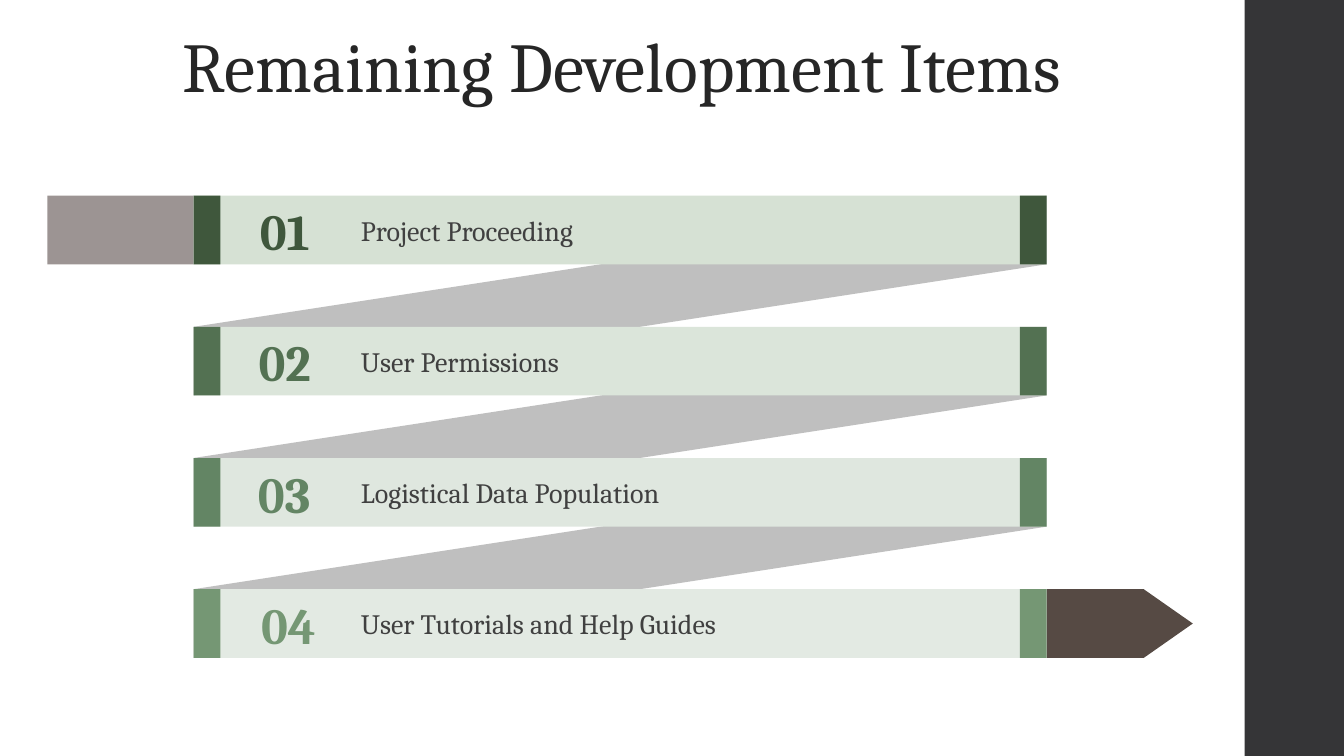
from dataclasses import dataclass

from pptx import Presentation
from pptx import util as u
from pptx.dml.color import RGBColor
from pptx.enum import shapes, text

Pt = u.Pt


@dataclass(frozen=True)
class Theme:
    font: str = "Cambria"
    title_size: int = 50
    number_size: int = 36
    label_size: int = 20
    title: str = "262626"
    label: str = "404040"
    side_band: str = "353537"
    ribbon: str = "BFBFBF"
    tail: str = "9C9493"
    arrow: str = "564A44"


@dataclass(frozen=True)
class Item:
    label: str
    accent: str
    tint: str
    number_left: float


THEME = Theme()
ITEMS = [
    Item("Project Proceeding", "3F573C", "D6E1D4", 175.5),
    Item("User Permissions", "537152", "DBE5DA", 175.5),
    Item("Logistical Data Population", "638564", "DFE7DF", 175),
    Item("User Tutorials and Help Guides", "759774", "E3EAE3", 178),
]

BAR_LEFT, BAR_RIGHT = 138.3, 747.7
BAR_TOP, BAR_HEIGHT, PITCH = 139.8, 49, 93.7
CAP_WIDTH = 19.2
TIP_LENGTH = 35


def row_top(index):
    return BAR_TOP + index * PITCH


def paint(shape, color):
    shape.fill.solid()
    shape.fill.fore_color.rgb = RGBColor.from_string(color)
    shape.line.fill.background()
    shape.shadow.inherit = False


def add_block(page, left, top, width, height, color,
              kind=shapes.MSO_SHAPE.RECTANGLE):
    block = page.shapes.add_shape(kind, Pt(left), Pt(top), Pt(width), Pt(height))
    paint(block, color)
    return block


def add_ribbon(page, upper, lower):
    outline = page.shapes.build_freeform(Pt(BAR_LEFT), Pt(lower))
    outline.add_line_segments([
        (Pt(BAR_RIGHT), Pt(upper)),
        (Pt(BAR_RIGHT), Pt(upper + BAR_HEIGHT)),
        (Pt(BAR_LEFT), Pt(lower + BAR_HEIGHT)),
    ], close=True)
    paint(outline.convert_to_shape(), THEME.ribbon)


def add_text(page, left, top, width, height, words, size, color,
             align=text.PP_ALIGN.LEFT, bold=False):
    box = page.shapes.add_textbox(Pt(left), Pt(top), Pt(width), Pt(height))
    frame = box.text_frame
    frame.word_wrap = True
    para = frame.paragraphs[0]
    para.text = words
    para.alignment = align
    para.font.name = THEME.font
    para.font.size = Pt(size)
    para.font.bold = bold
    para.font.color.rgb = RGBColor.from_string(color)
    return frame


def add_title(page, words):
    frame = add_text(page, 0, 23.8, 889, 56.9, words, THEME.title_size,
                     THEME.title, text.PP_ALIGN.CENTER)
    frame.vertical_anchor = text.MSO_ANCHOR.MIDDLE
    frame.paragraphs[0].line_spacing = 0.75


def add_item(page, index, item):
    top = row_top(index)
    add_block(page, BAR_LEFT, top, BAR_RIGHT - BAR_LEFT, BAR_HEIGHT, item.tint)
    for cap_left in (BAR_LEFT, BAR_RIGHT - CAP_WIDTH):
        add_block(page, cap_left, top, CAP_WIDTH, BAR_HEIGHT, item.accent)
    add_text(page, item.number_left, top - 0.3, 56, 51, f"{index + 1:02}",
             THEME.number_size, item.accent, text.PP_ALIGN.CENTER, bold=True)
    add_text(page, 250.7, top + 8.8, 435.6, 31.5, item.label,
             THEME.label_size, THEME.label)


def add_arrow(page, top):
    shaft = 69.3
    add_block(page, BAR_RIGHT, top, shaft, BAR_HEIGHT, THEME.arrow)
    inset = (BAR_HEIGHT - TIP_LENGTH) / 2
    tip = add_block(page, BAR_RIGHT + shaft - inset, top + inset, BAR_HEIGHT,
                    TIP_LENGTH, THEME.arrow,
                    shapes.MSO_SHAPE.ISOSCELES_TRIANGLE)
    tip.rotation = 90


def main():
    deck = Presentation()
    deck.slide_width, deck.slide_height = Pt(960), Pt(540)
    page = deck.slides.add_slide(deck.slide_layouts[6])
    add_block(page, 889, 0, 71, 540, THEME.side_band)
    add_title(page, "Remaining Development Items")
    for index in range(len(ITEMS) - 1):
        add_ribbon(page, row_top(index), row_top(index + 1))
    add_block(page, 33.8, BAR_TOP, BAR_LEFT - 33.8, BAR_HEIGHT, THEME.tail)
    for index, item in enumerate(ITEMS):
        add_item(page, index, item)
    add_arrow(page, row_top(len(ITEMS) - 1))
    deck.save("out.pptx")


if __name__ == "__main__":
    main()
